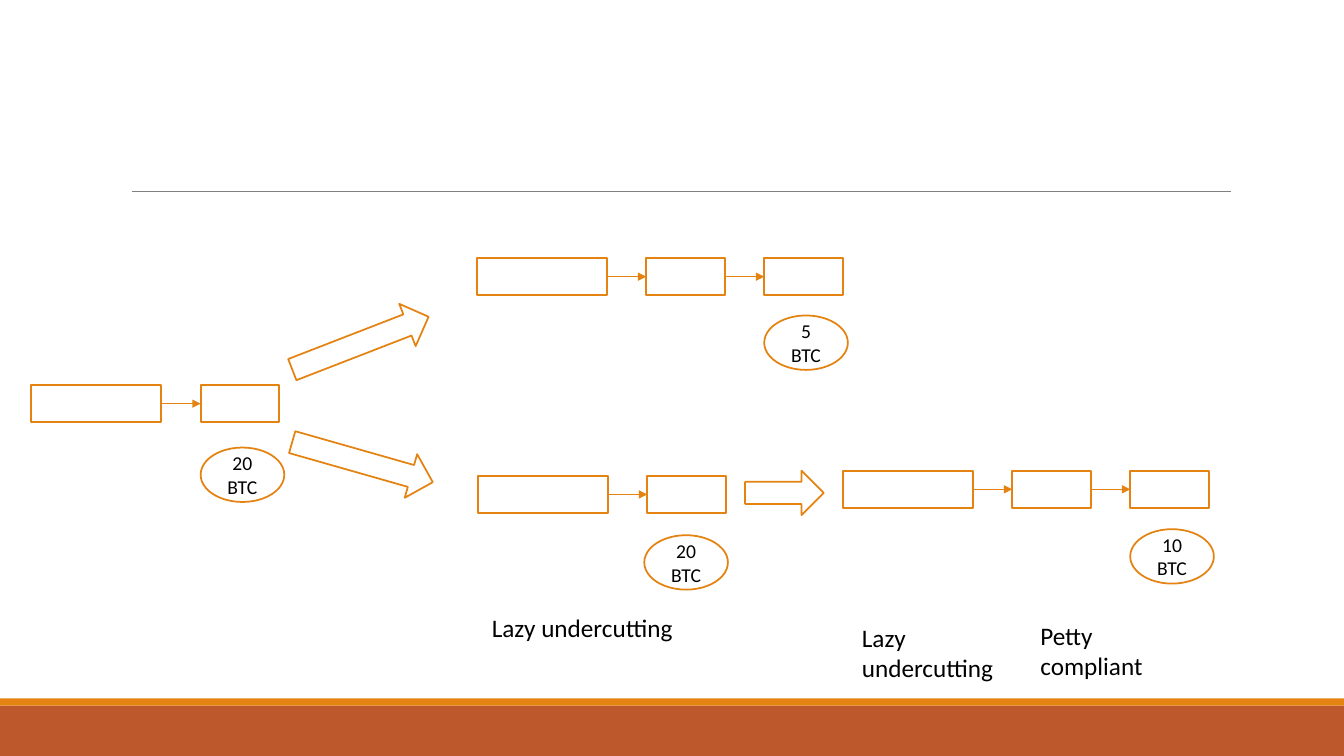
"""Build the slide that shows how a chain forks under lazy undercutting."""
from dataclasses import dataclass

from lxml.etree import SubElement as Sub
from pptx import Presentation
from pptx.dml.color import RGBColor as RGB
from pptx.enum.shapes import MSO_CONNECTOR as Conn, MSO_SHAPE as Kind
from pptx.enum.text import MSO_ANCHOR as Anchor, MSO_AUTO_SIZE as Auto, PP_ALIGN as Align
from pptx.oxml.ns import qn
from pptx.util import Inches, Pt


@dataclass
class Theme:
    accent: RGB = RGB(0xE4, 0x83, 0x12)
    band: RGB = RGB(0xBD, 0x58, 0x2C)
    rule: RGB = RGB(0x80, 0x80, 0x80)
    paper: RGB = RGB(0xFF, 0xFF, 0xFF)
    ink: RGB = RGB(0, 0, 0)
    font: str = "Calibri"
    coin: Pt = Pt(14)
    label: Pt = Pt(18)


theme = Theme()
deck = Presentation()
deck.slide_width, deck.slide_height = Inches(13.33), Inches(7.5)
slide = deck.slides.add_slide(deck.slide_layouts[6])
shapes = slide.shapes


def draw(kind, box, fill=theme.paper, line=theme.accent):
    shape = shapes.add_shape(kind, *map(Inches, box))
    shape.shadow.inherit = False
    shape.fill.solid()
    shape.fill.fore_color.rgb = fill
    if line is None:
        shape.line.fill.background()
    else:
        shape.line.color.rgb = line
        shape.line.width = Pt(1.25)
    return shape


def link(start, end, color, width):
    line = shapes.add_connector(Conn.STRAIGHT, *map(Inches, start + end))
    line.line.color.rgb = color
    line.line.width = Pt(width)
    Sub(line._element.spPr, qn("a:effectLst"))
    return line


draw(Kind.RECTANGLE, (0, 7, 13.33, 0.5), theme.band, None)
draw(Kind.RECTANGLE, (0, 6.93, 13.33, 0.07), theme.accent, None)
link((1.31, 1.9), (12.21, 1.9), theme.rule, 0.5)

high, gap = 0.37, 0.39
long, short = 1.29, 0.78
chains = [(0.31, 3.82, 2), (4.73, 2.56, 3), (4.74, 4.72, 2), (8.36, 4.67, 3)]
for left, top, count in chains:
    last = None
    for wide in [long, short, short][:count]:
        block = draw(Kind.RECTANGLE, (left, top, wide, high))
        if last is not None:
            mid = top + high / 2
            arrow = link((left - gap, mid), (left, mid), theme.accent, 1)
            arrow.begin_connect(last, 3)
            arrow.end_connect(block, 1)
            Sub(arrow.line._get_or_add_ln(), qn("a:tailEnd"), type="triangle")
        last = block
        left += wide + gap

arrows = [
    ((2.85, 3.18, 1.45, 0.45), 338.8),
    ((2.87, 4.36, 1.45, 0.45), 15.9),
    ((7.39, 4.67, 0.78, 0.44), 0),
]
for box, turn in arrows:
    draw(Kind.RIGHT_ARROW, box).rotation = turn

coins = [(1.99, 4.44, 20), (7.58, 3.13, 5), (6.39, 5.31, 20), (11.21, 5.25, 10)]
for left, top, worth in coins:
    frame = draw(Kind.OVAL, (left, top, 0.83, 0.54)).text_frame
    frame.word_wrap = True
    frame.vertical_anchor = Anchor.MIDDLE
    frame.text = f"{worth} BTC"
    para = frame.paragraphs[0]
    para.alignment = Align.CENTER
    font = para.runs[0].font
    font.name, font.size = theme.font, theme.coin
    font.color.rgb = theme.ink

labels = [
    ("Lazy undercutting", (4.78, 6.03, 2.13, 0.4)),
    ("Petty compliant", (10.22, 6.1, 1.38, 0.71)),
    ("Lazy undercutting", (8.45, 6.12, 1.68, 0.71)),
]
for text, box in labels:
    frame = shapes.add_textbox(*map(Inches, box)).text_frame
    frame.word_wrap = True
    frame.auto_size = Auto.SHAPE_TO_FIT_TEXT
    frame.text = text
    font = frame.paragraphs[0].runs[0].font
    font.name, font.size = theme.font, theme.label
    font.color.rgb = theme.ink

deck.save("out.pptx")
